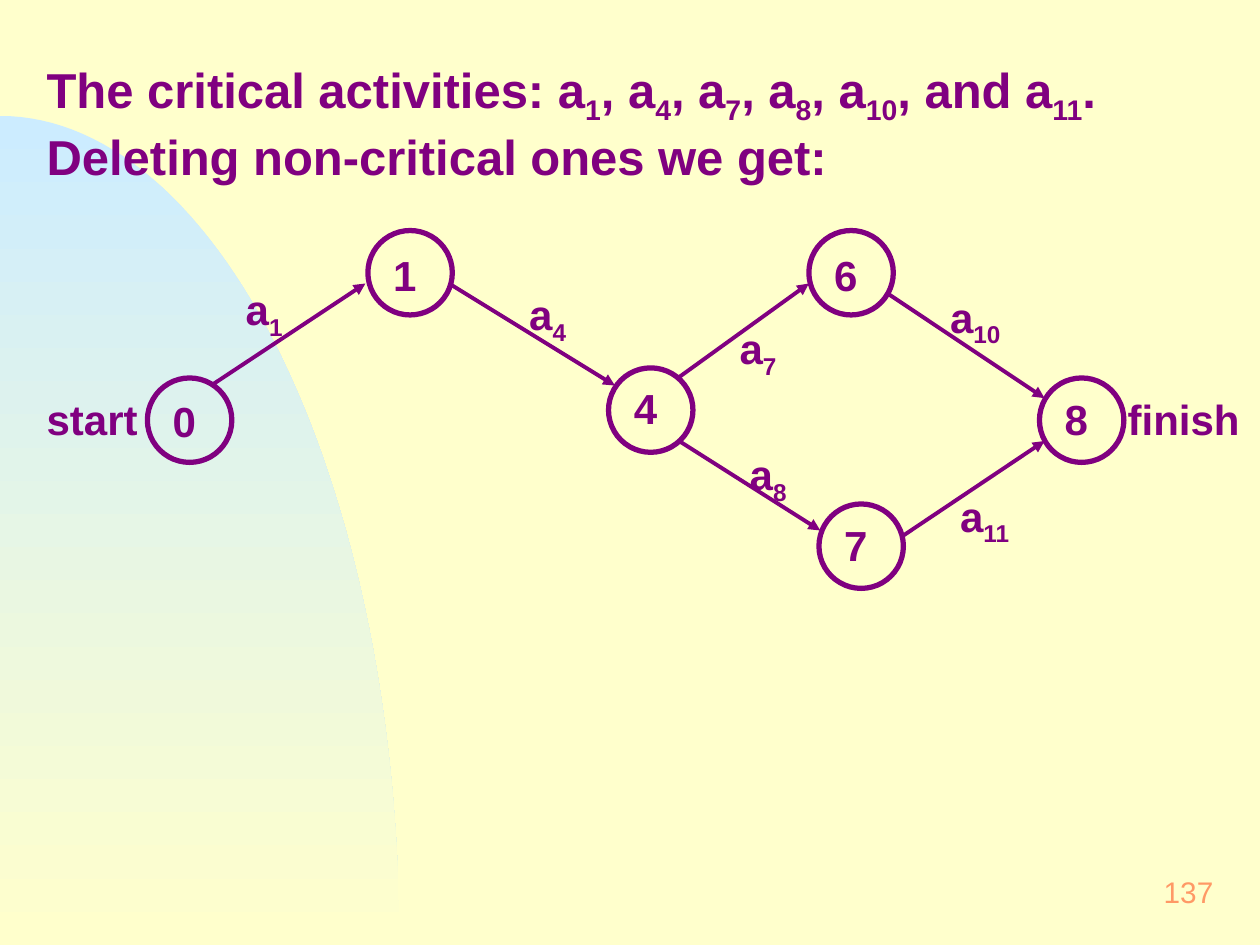
import math
from dataclasses import dataclass

from lxml import etree
from pptx import Presentation, util as u
from pptx.dml.color import RGBColor as Rgb
from pptx.enum import shapes as es, text as et
from pptx.oxml import ns


@dataclass(frozen=True)
class Theme:
    font: str = "Arial"
    back: Rgb = Rgb(0xFF, 0xFF, 0xCC)
    sky: Rgb = Rgb(0xCC, 0xEC, 0xFF)
    ink: Rgb = Rgb(0x80, 0x00, 0x80)
    page: Rgb = Rgb(0xFF, 0x99, 0x66)
    head: int = 28
    body: int = 24
    small: int = 17
    ring: float = 3
    edge: float = 2.25


T = Theme()
SIZE = 0.67  # node diameter

# Node name: left, top, drop of its number
NODES = {
    "0": (1.17, 3, 0.08),
    "1": (2.92, 1.83, 0.09),
    "4": (4.83, 2.92, 0.06),
    "6": (6.42, 1.83, 0.09),
    "7": (6.5, 4, 0.06),
    "8": (8.25, 3, 0.06),
}

# Activity number: start, end, label place, label width
EDGES = {
    "1": ((1.69, 3.05), (2.9, 2.25), (1.83, 2.19), 0.75),
    "4": ((3.58, 2.26), (4.88, 3.06), (4.08, 2.23), 0.75),
    "7": ((5.38, 3), (6.42, 2.25), (5.75, 2.5), 0.67),
    "8": ((5.39, 3.5), (6.51, 4.21), (5.83, 3.5), 0.58),
    "10": ((7.03, 2.32), (8.29, 3.16), (7.42, 2.25), 0.75),
    "11": ((7.17, 4.25), (8.29, 3.5), (7.5, 3.83), 0.83),
}


def add_text(slide, box, runs, size=T.body, tint=T.ink, bold=True, gap=6):
    """Add a text box; runs are (words, is_subscript) pairs."""
    frame = slide.shapes.add_textbox(*map(u.Inches, box)).text_frame
    frame.word_wrap = True
    frame.margin_left = frame.margin_right = u.Inches(0.12)
    frame.margin_top = frame.margin_bottom = u.Inches(0.06)
    para = frame.paragraphs[0]
    para.space_before = u.Pt(gap)
    for words, sub in runs:
        run = para.add_run()
        run.text = words
        font = run.font
        font.name, font.size, font.bold = T.font, u.Pt(size), bold
        font.color.rgb = tint
        if sub:
            run._r.get_or_add_rPr().set("baseline", "-25000")
    return frame


def add_arc(slide):
    """Add the quarter ellipse that fades into the background."""
    wide, high, base, steps = 3.17, 6.58, 7.5, 60
    turns = [math.pi / 2 * i / steps for i in range(steps + 1)]
    rim = [(u.Inches(wide * math.sin(t)), u.Inches(base - high * math.cos(t)))
           for t in turns]
    pen = slide.shapes.build_freeform(*rim[0])
    pen.add_line_segments(rim[1:] + [(0, u.Inches(base))], close=True)
    arc = pen.convert_to_shape()
    arc.shadow.inherit = False
    arc.line.fill.background()
    arc.fill.gradient()
    arc.fill.gradient_angle = 270
    for stop, tint, place in zip(arc.fill.gradient_stops, (T.sky, T.back), (0, 1)):
        stop.color.rgb, stop.position = tint, place


def add_node(slide, name, left, top, drop):
    ring = slide.shapes.add_shape(
        es.MSO_SHAPE.OVAL, *map(u.Inches, (left, top, SIZE, SIZE)))
    ring.shadow.inherit = False
    ring.fill.background()
    ring.line.color.rgb, ring.line.width = T.ink, u.Pt(T.ring)
    add_text(slide, (left + 0.08, top + drop, 0.42, 0.52), [(name, False)])


def add_edge(slide, num, start, end, place, width):
    link = slide.shapes.add_connector(
        es.MSO_CONNECTOR.STRAIGHT, *map(u.Inches, start + end))
    link.line.color.rgb, link.line.width = T.ink, u.Pt(T.edge)
    tip = etree.SubElement(link.line._get_or_add_ln(), ns.qn("a:tailEnd"))
    tip.set("type", "triangle")
    etree.SubElement(link._element.spPr, ns.qn("a:effectLst"))
    add_text(slide, (*place, width, 0.58), [("a", False), (num, True)])


def main():
    deck = Presentation()
    deck.slide_width, deck.slide_height = u.Inches(10), u.Inches(7.5)
    slide = deck.slides.add_slide(deck.slide_layouts[6])

    # Background and page number
    slide.background.fill.solid()
    slide.background.fill.fore_color.rgb = T.back
    add_arc(slide)
    page = add_text(slide, (7.67, 6.83, 2.08, 0.5), [("137", False)],
                    T.small, T.page, bold=False, gap=0)
    page.vertical_anchor = et.MSO_ANCHOR.MIDDLE
    page.paragraphs[0].alignment = et.PP_ALIGN.RIGHT

    # Statement listing the critical activities
    runs = []
    leads = ["The critical activities: a"] + [", a"] * 4 + [", and a"]
    for lead, num in zip(leads, EDGES):
        runs += [(lead, False), (num, True)]
    runs.append((". Deleting non-critical ones we get:", False))
    add_text(slide, (0.25, 0.41, 9.58, 1.12), runs, T.head, gap=14)

    # Activity network
    for name, spot in NODES.items():
        add_node(slide, name, *spot)
    for num, course in EDGES.items():
        add_edge(slide, num, *course)
    for word, left in (("start", 0.25), ("finish", 8.83)):
        add_text(slide, (left, 3.06, 1.17, 0.52), [(word, False)])

    deck.save("out.pptx")


if __name__ == "__main__":
    main()
